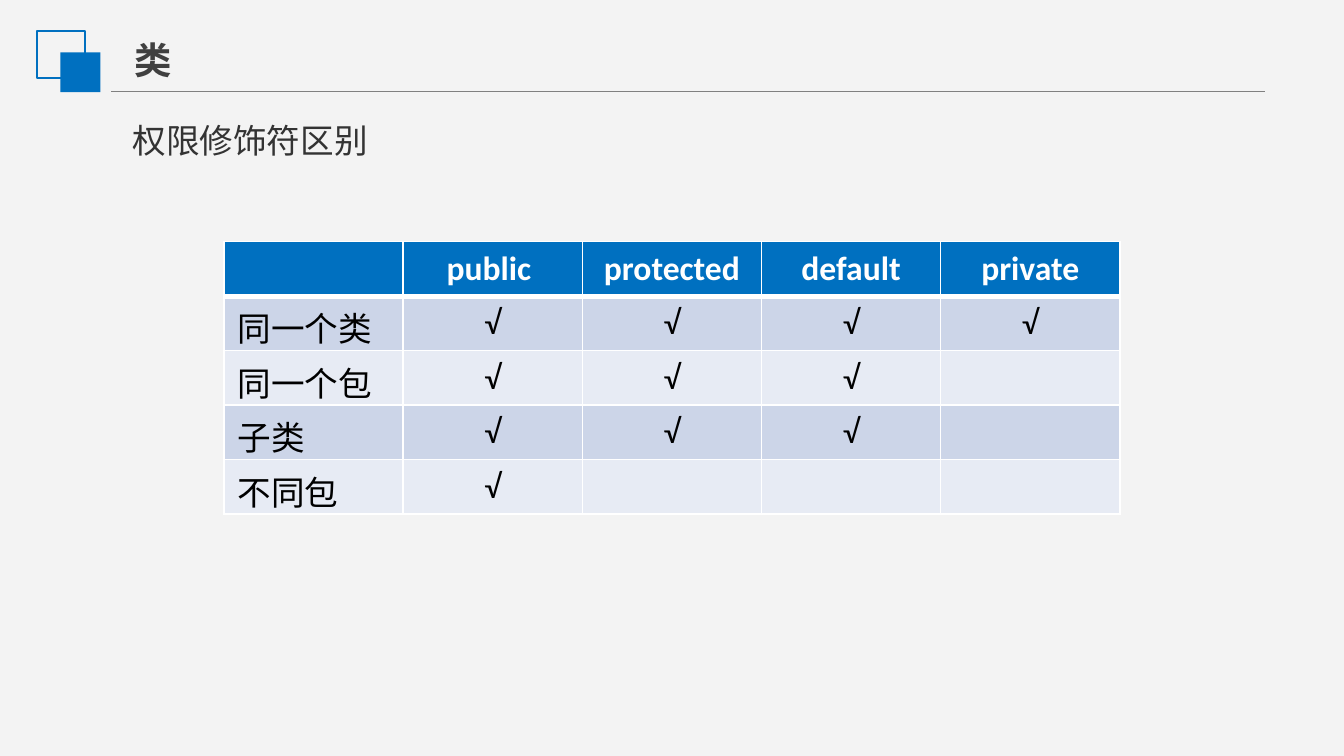
from typing import NamedTuple, Optional

from lxml.etree import SubElement
from pptx import Presentation
from pptx.dml.color import RGBColor
from pptx.enum.shapes import MSO_CONNECTOR as Connector, MSO_SHAPE as Shape
from pptx.enum.text import MSO_ANCHOR as Anchor, MSO_AUTO_SIZE as AutoSize, PP_ALIGN as Align
from pptx.oxml.ns import qn
from pptx.util import Inches, Pt

COLUMNS, ROWS = 100, 56.25
CELL = Inches(0.1)
BLUE, WHITE, BLACK = "0070C0", "FFFFFF", "000000"
BANDS = ("CCD5E8", "E7EBF4")
MODIFIERS = ("public ", "protected", "default", "private")
ACCESS = (("同一个类", 4), ("同一个包", 3), ("子类", 3), ("不同包", 1))


class Box(NamedTuple):
    """An area in grid columns and rows."""
    left: float
    top: float
    width: float
    height: float

    def emu(self) -> list[int]:
        """Return the area in slide units."""
        return [round(value * CELL) for value in self]


class Square(NamedTuple):
    """A square of the heading mark."""
    box: Box
    fill: Optional[str]
    line: Optional[str]


SQUARES = (
    Square(Box(2.75, 2.28, 3.55, 3.52), None, BLUE),
    Square(Box(4.5, 3.9, 2.97, 2.97), BLUE, None),
)


def color(value: str) -> RGBColor:
    """Turn a hex string into a colour."""
    return RGBColor.from_string(value)


def write(frame, text: str, *, font: str, size: float, ink: str, bold: bool = False,
          align: Align = Align.LEFT, east_asian: Optional[str] = None) -> None:
    """Write one formatted paragraph into a text frame."""
    paragraph = frame.paragraphs[0]
    paragraph.alignment = align
    run = paragraph.add_run()
    run.text = text
    run.font.name, run.font.size, run.font.bold = font, Pt(size), bold
    run.font.color.rgb = color(ink)
    if east_asian:
        SubElement(run.font._element, qn("a:ea"), typeface=east_asian)


def add_text(slide, box: Box, text: str, *, wrap: bool, **style) -> None:
    """Add a text box that grows with its text."""
    frame = slide.shapes.add_textbox(*box.emu()).text_frame
    frame.word_wrap = wrap
    frame.auto_size = AutoSize.SHAPE_TO_FIT_TEXT
    write(frame, text, **style)


def add_square(slide, square: Square) -> None:
    """Draw one filled or outlined square."""
    shape = slide.shapes.add_shape(Shape.RECTANGLE, *square.box.emu())
    shape.shadow.inherit = False
    if square.fill:
        shape.fill.solid()
        shape.fill.fore_color.rgb = color(square.fill)
    else:
        shape.fill.background()
    if square.line:
        shape.line.color.rgb = color(square.line)
        shape.line.width = Pt(1)
    else:
        shape.line.fill.background()


def add_rule(slide, left: float, right: float, row: float) -> None:
    """Draw the thin rule under the heading."""
    start, end, height = (round(value * CELL) for value in (left, right, row))
    rule = slide.shapes.add_connector(Connector.STRAIGHT, start, height, end, height)
    rule.line.color.rgb = color("808080")
    rule.line.width = Pt(0.75)
    SubElement(rule._element.spPr, qn("a:effectLst"))


def style_cell(cell, fill: str, top: float, bottom: float) -> None:
    """Set the white borders and the fill of a cell."""
    properties = cell._tc.get_or_add_tcPr()
    for side, width in (("L", 1), ("R", 1), ("T", top), ("B", bottom)):
        border = SubElement(properties, qn(f"a:ln{side}"), w=str(Pt(width)))
        SubElement(SubElement(border, qn("a:solidFill")), qn("a:srgbClr"), val=WHITE)
    cell.fill.solid()
    cell.fill.fore_color.rgb = color(fill)
    cell.vertical_anchor = Anchor.TOP


def add_access_table(slide, box: Box) -> None:
    """Add the table of access by modifier."""
    rows = [("", *MODIFIERS)]
    for scope, allowed in ACCESS:
        rows.append((scope, *("√" if index < allowed else "" for index in range(len(MODIFIERS)))))
    table = slide.shapes.add_table(len(rows), len(rows[0]), *box.emu()).table
    for row, texts in enumerate(rows):
        header = row == 0
        fill = BLUE if header else BANDS[(row - 1) % 2]
        for column, text in enumerate(texts):
            cell = table.cell(row, column)
            style_cell(cell, fill, top=3 if row == 1 else 1, bottom=3 if header else 1)
            if text:
                write(cell.text_frame, text, font="Calibri", size=18, bold=header,
                      ink=WHITE if header else BLACK,
                      align=Align.CENTER if column else Align.LEFT)


def main() -> None:
    """Build the slide and save it."""
    presentation = Presentation()
    presentation.slide_width = round(COLUMNS * CELL)
    presentation.slide_height = round(ROWS * CELL)
    slide = presentation.slides.add_slide(presentation.slide_layouts[6])
    slide.background.fill.solid()
    slide.background.fill.fore_color.rgb = color("F3F3F3")
    add_rule(slide, 8.27, 94.1, 6.83)
    for square in SQUARES:
        add_square(slide, square)
    add_text(slide, Box(9, 2.25, 4.8, 4.4), "类", wrap=False, font="Noto Sans CJK SC",
             east_asian="Noto Sans CJK SC", size=20, ink="404040", bold=True)
    add_text(slide, Box(8.87, 8.4, 50.1, 4), "权限修饰符区别", wrap=True, font="Karla",
             size=18, ink="333333")
    add_access_table(slide, Box(16.67, 17.97, 66.67, 20.3))
    presentation.save("out.pptx")


if __name__ == "__main__":
    main()
